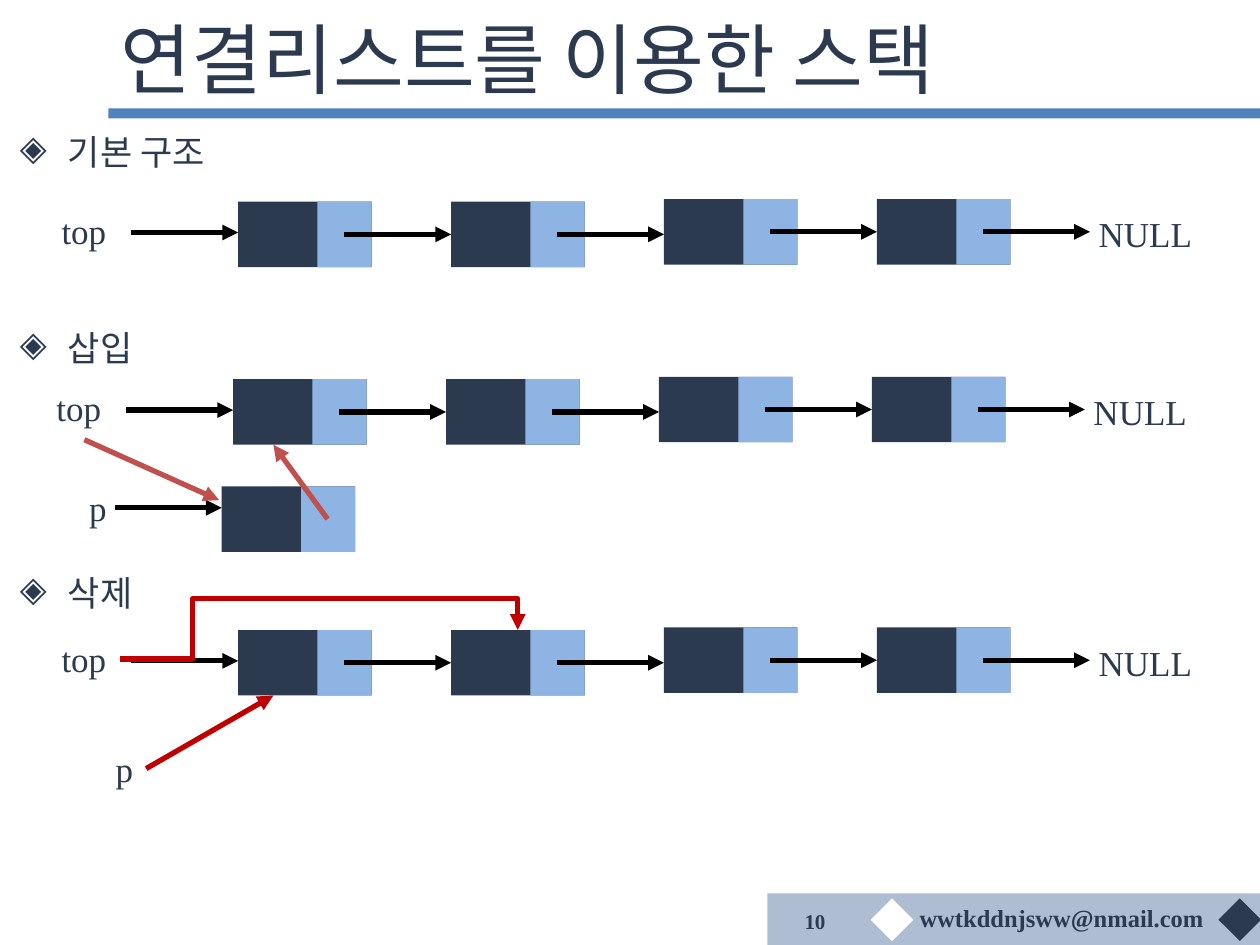
from lxml import etree
from pptx import Presentation
from pptx.dml.color import RGBColor
from pptx.enum.shapes import MSO_CONNECTOR, MSO_SHAPE
from pptx.enum.text import MSO_ANCHOR, PP_ALIGN
from pptx.oxml.ns import qn
from pptx.util import Inches, Pt

RECTANGLE = MSO_SHAPE.RECTANGLE
STRAIGHT, ELBOW = MSO_CONNECTOR.STRAIGHT, MSO_CONNECTOR.ELBOW
TOP, MIDDLE = MSO_ANCHOR.TOP, MSO_ANCHOR.MIDDLE
LEFT, RIGHT = PP_ALIGN.LEFT, PP_ALIGN.RIGHT

NAVY = RGBColor(0x2C, 0x3A, 0x50)
BLUE = RGBColor(0x4F, 0x81, 0xBD)
LIGHT_BLUE = RGBColor(0x8E, 0xB4, 0xE3)
FOOTER_BLUE = RGBColor(0x78, 0x8F, 0xB4)
WHITE = RGBColor(0xFF, 0xFF, 0xFF)
BLACK = RGBColor(0, 0, 0)
SOFT_RED = RGBColor(0xC0, 0x50, 0x4D)
DARK_RED = RGBColor(0xC0, 0, 0)

FONT = "Times New Roman"
TITLE = "연결리스트를 이용한 스택"
EMAIL = "wwtkddnjsww@nmail.com"
PAGE_NUMBER = "10"
HEADINGS = [("기본 구조", 4), ("삽입", 88), ("삭제", 116)]
LIST_ORIGINS = [(1.89, 1.6), (1.85, 3.01), (1.89, 5.0)]
NODE_DROPS = [0, 0, -0.02, -0.02]
NODE_PITCH = 1.69
NODE_WIDTH, NODE_HEIGHT = 1.06, 0.52
LINK_OFFSET, LINK_WIDTH = 0.63, 0.43
ARROW_OFFSET, ARROW_LENGTH = 0.84, 0.85


def add_rectangle(slide, left, top, width, height, color, rotation=0):
    shape = slide.shapes.add_shape(
        RECTANGLE, Inches(left), Inches(top), Inches(width), Inches(height))
    shape.shadow.inherit = False
    shape.fill.solid()
    shape.fill.fore_color.rgb = color
    shape.line.fill.background()
    shape.rotation = rotation
    return shape


def style_paragraph(paragraph, size, bold=False):
    for run in paragraph.runs:
        run.font.name = FONT
        run.font.size = Pt(size)
        run.font.bold = bold
        run.font.color.rgb = NAVY


def add_text(slide, text, left, top, width, height, size=20, bold=False,
             wrap=False, anchor=TOP, align=LEFT):
    box = slide.shapes.add_textbox(
        Inches(left), Inches(top), Inches(width), Inches(height))
    frame = box.text_frame
    frame.word_wrap = wrap
    frame.vertical_anchor = anchor
    frame.text = text
    for paragraph in frame.paragraphs:
        paragraph.alignment = align
        style_paragraph(paragraph, size, bold)
    return box


def add_arrow(slide, start, end, color=BLACK, kind=STRAIGHT):
    connector = slide.shapes.add_connector(
        kind, *(Inches(value) for value in (*start, *end)))
    connector.line.color.rgb = color
    connector.line.width = Pt(3)
    properties = connector._element.spPr
    etree.SubElement(properties.find(qn("a:ln")), qn("a:tailEnd"), type="triangle")
    etree.SubElement(properties, qn("a:effectLst"))
    return connector


def add_bent_arrow(slide, start, end, turn_x, turn_y, color):
    connector = add_arrow(slide, start, end, color, ELBOW)
    geometry = connector._element.spPr.find(qn("a:prstGeom"))
    geometry.set("prst", "bentConnector4")
    guides = geometry.find(qn("a:avLst"))
    if guides is None:
        guides = etree.SubElement(geometry, qn("a:avLst"))
    ratios = [(turn_x - start[0]) / (end[0] - start[0]),
              (turn_y - start[1]) / (end[1] - start[1])]
    for number, ratio in enumerate(ratios, 1):
        etree.SubElement(guides, qn("a:gd"), name=f"adj{number}",
                         fmla=f"val {round(ratio * 100000)}")


def add_node(slide, left, top):
    add_rectangle(slide, left, top, NODE_WIDTH, NODE_HEIGHT, NAVY)
    add_rectangle(slide, left + LINK_OFFSET, top, LINK_WIDTH, NODE_HEIGHT, LIGHT_BLUE)


def add_linked_list(slide, left, top):
    for index, drop in enumerate(NODE_DROPS):
        node_left, node_top = left + index * NODE_PITCH, top + drop
        add_node(slide, node_left, node_top)
        tail_x, tail_y = node_left + ARROW_OFFSET, node_top + NODE_HEIGHT / 2
        add_arrow(slide, (tail_x, tail_y), (tail_x + ARROW_LENGTH, tail_y))
    add_text(slide, "NULL", left + 6.73, top + 0.04, 0.95, 0.44)
    add_arrow(slide, (left - ARROW_LENGTH, top + 0.245), (left, top + 0.245))
    add_text(slide, "top", left - 1.5, top + 0.01, 0.56, 0.44)


def add_headings(slide):
    text = "\n".join(heading for heading, _ in HEADINGS)
    box = add_text(slide, text, 0.06, 0.99, 9.89, 6.06, wrap=True)
    for paragraph, (_, space) in zip(box.text_frame.paragraphs, HEADINGS):
        paragraph.space_before = Pt(space)
        properties = paragraph._p.get_or_add_pPr()
        properties.set("marL", str(Inches(0.38)))
        properties.set("indent", str(Inches(-0.38)))
        etree.SubElement(properties, qn("a:buChar"), char="◈")


def add_frame(slide):
    add_rectangle(slide, 0.86, 0.86, 9.14, 0.08, BLUE)
    footer = add_rectangle(slide, 6.09, 7.09, 3.91, 0.42, FOOTER_BLUE)
    color = footer._element.spPr.find(qn("a:solidFill"))[0]
    etree.SubElement(color, qn("a:alpha"), val="59000")
    for left, diamond_color in [(9.72, NAVY), (6.96, WHITE)]:
        add_rectangle(slide, left, 7.18, 0.24, 0.24, diamond_color, 45)
    add_text(slide, EMAIL, 7.2, 7.12, 2.46, 0.34, 14, True)
    add_text(slide, PAGE_NUMBER, 6.18, 7.14, 0.47, 0.34, 12, True, True, MIDDLE, RIGHT)
    add_text(slide, TITLE, 0.86, 0.07, 8.96, 0.77, 44, wrap=True, anchor=MIDDLE)


def main():
    presentation = Presentation()
    presentation.slide_width = Inches(10)
    presentation.slide_height = Inches(7.5)
    slide = presentation.slides.add_slide(presentation.slide_layouts[6])
    add_frame(slide)
    add_headings(slide)
    for left, top in LIST_ORIGINS:
        add_linked_list(slide, left, top)

    add_text(slide, "p", 0.61, 3.81, 0.34, 0.44)
    add_arrow(slide, (0.91, 4.03), (1.76, 4.03))
    add_node(slide, 1.76, 3.86)
    add_arrow(slide, (2.6, 4.12), (2.17, 3.53), SOFT_RED)
    add_arrow(slide, (0.67, 3.49), (1.74, 3.97), SOFT_RED)

    add_text(slide, "p", 0.82, 5.88, 0.34, 0.44)
    add_arrow(slide, (1.16, 6.1), (2.17, 5.52), DARK_RED)
    add_bent_arrow(slide, (0.95, 5.23), (4.11, 5), 1.53, 4.75, DARK_RED)
    presentation.save("out.pptx")


if __name__ == "__main__":
    main()
